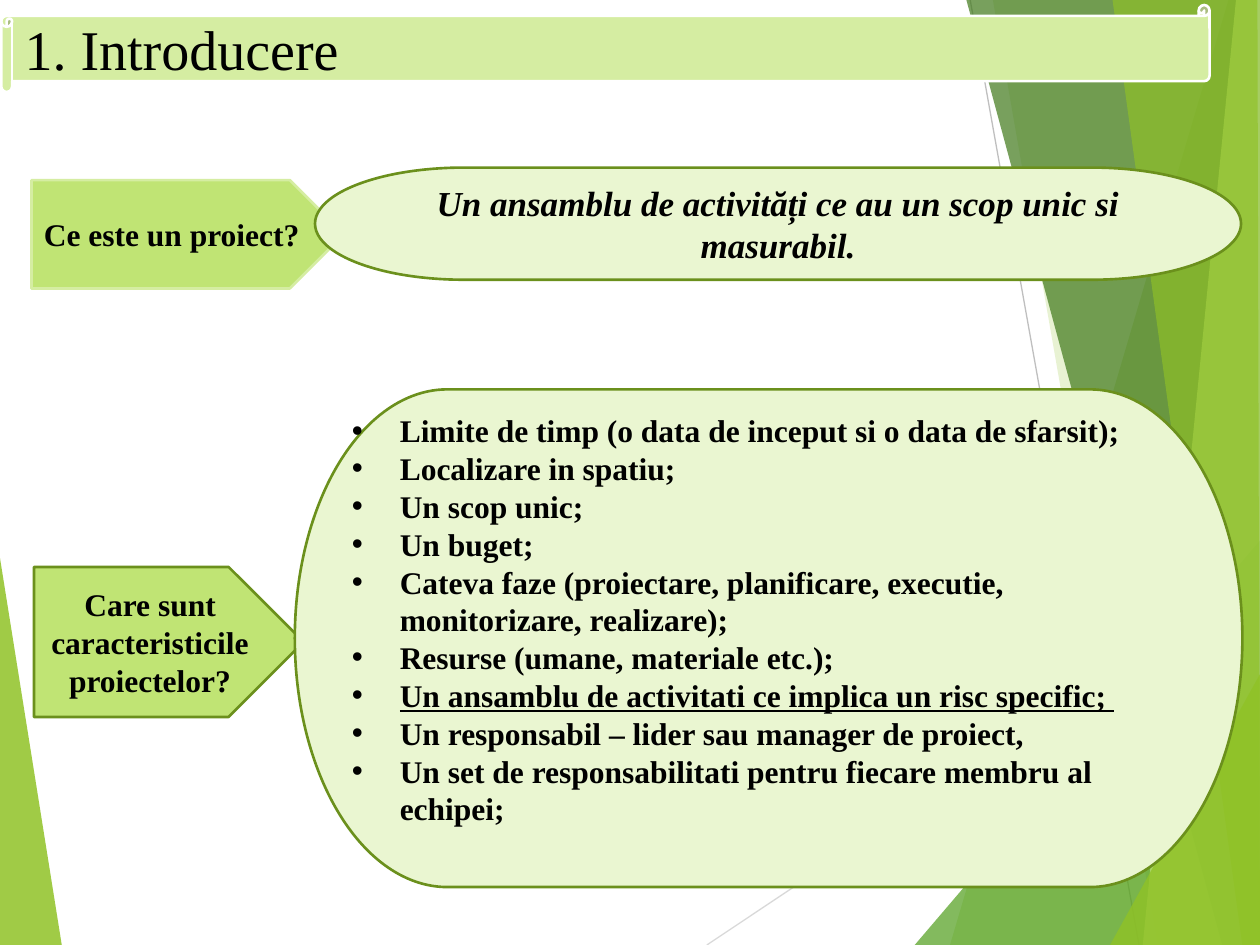
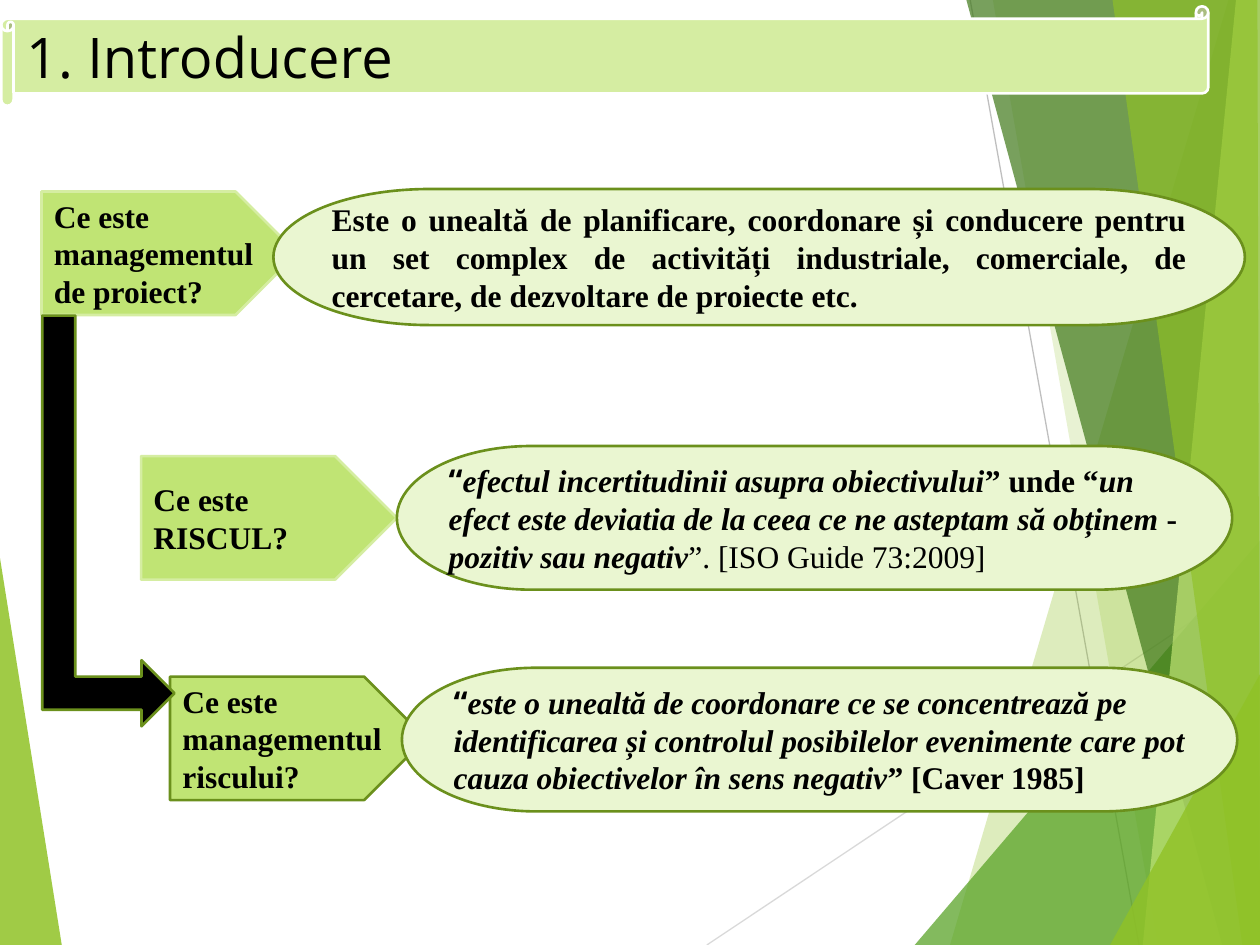
from lxml.etree import SubElement
from pptx import Presentation
from pptx.dml.color import RGBColor
from pptx.enum.shapes import MSO_CONNECTOR as Conn, MSO_SHAPE as Kind
from pptx.enum.text import MSO_ANCHOR as Anchor, PP_ALIGN as Align
from pptx.oxml.ns import qn
from pptx.util import Inches, Pt

SERIF, SANS = "Times New Roman", "Open Sans"
LIME, PALE, MIST = "C0E474", "D5EDA2", "EAF6D1"
OLIVE, WHITE, BLACK = "6B901C", "FFFFFF", "000000"
TAG, PILL = Kind.PENTAGON, Kind.FLOWCHART_TERMINATOR


def ink(fill, tone):
    fill.solid()
    fill.fore_color.rgb = RGBColor.from_string(tone)


# Each paragraph is a list of runs: (text, style letters, font);
# b = bold, i = italic, u = underline
def box(slide, kind, place, fill, edge, paras=(), size=18, align=Align.LEFT,
        bullet=False):
    shape = slide.shapes.add_shape(kind, *map(Inches, place))
    shape.shadow.inherit = False
    ink(shape.fill, fill)
    ink(shape.line.fill, edge)
    shape.line.width = Pt(1.5)
    frame = shape.text_frame
    frame.word_wrap = True
    frame.vertical_anchor = Anchor.MIDDLE
    for n, runs in enumerate(paras):
        para = frame.add_paragraph() if n else frame.paragraphs[0]
        para.alignment = align
        if bullet:
            props = para._p.get_or_add_pPr()
            props.set("marL", str(Inches(0.38)))
            props.set("indent", str(Inches(-0.38)))
            SubElement(props, qn("a:buFont"), typeface="Arial")
            SubElement(props, qn("a:buChar"), char="•")
        para.font.size = Pt(size)
        ink(para.font.fill, BLACK)
        for text, style, face in runs:
            run = para.add_run()
            run.text = text
            run.font.name = face
            run.font.bold = "b" in style
            run.font.italic = "i" in style
            run.font.underline = "u" in style
    return shape


deck = Presentation()
deck.slide_width, deck.slide_height = Inches(10), Inches(7.5)

# Backdrop: thin lines, then translucent facets (tone, opacity %, corners)
lines = [("D9D9D9", (5.61, 7.5, 10, 4.57)), ("BFBFBF", (7.7, 0, 9.04, 7.5))]
facets = [
    ("90C226", 85, [(0, 4.43), (0.49, 7.5), (0, 7.5)]),
    ("90C226", 30, [(9.75, 0), (7.54, 7.5), (10, 7.5), (10, 0)]),
    ("90C226", 20, [(7.88, 0), (9.19, 7.5), (10, 7.5), (10, 0)]),
    ("54A021", 72, [(7.26, 7.5), (10, 4.29), (10, 7.5)]),
    ("3F7819", 70, [(7.67, 0), (9.7, 7.5), (10, 7.5), (10, 0)]),
    ("C0E474", 70, [(9.81, 0), (9.07, 7.5), (10, 7.5), (10, 0)]),
    ("90C226", 65, [(8.83, 0), (9.86, 7.5), (10, 7.5), (9.98, 0)]),
    ("90C226", 80, [(8.81, 7.5), (10, 5.35), (10, 7.5)]),
]
# Title scroll of each slide: place and font
heads = [((0.01, 0.04, 9.59, 0.69), SERIF), ((0.01, 0.05, 9.58, 0.79), SANS)]

slides = []
for place, face in heads:
    slide = deck.slides.add_slide(deck.slide_layouts[6])
    slides.append(slide)
    for tone, ends in lines:
        line = slide.shapes.add_connector(Conn.STRAIGHT, *map(Inches, ends))
        ink(line.line.fill, tone)
        line.line.width = Pt(0.75)
        SubElement(line.element.spPr, qn("a:effectLst"))
    for tone, alpha, dots in facets:
        dots = [(Inches(x), Inches(y)) for x, y in dots]
        pen = slide.shapes.build_freeform(*dots[0])
        pen.add_line_segments(dots[1:])
        facet = pen.convert_to_shape()
        facet.shadow.inherit = False
        ink(facet.fill, tone)
        facet.line.fill.background()
        clr = facet.element.spPr.find(".//" + qn("a:srgbClr"))
        SubElement(clr, qn("a:alpha"), val=str(alpha * 1000))
    box(slide, Kind.HORIZONTAL_SCROLL, place, PALE, WHITE,
        [[("1. Introducere", "", face)]], size=32)

# Slide 1: what a project is and its traits
first, second = slides
box(first, TAG, (0.27, 4.5, 2.14, 1.19), LIME, OLIVE,
    [[("Care sunt caracteristicile proiectelor?", "b", SERIF)]],
    align=Align.CENTER)
box(first, TAG, (0.25, 1.43, 2.48, 0.86), LIME, PALE,
    [[("Ce este un proiect?", "b", SERIF)]])
box(first, PILL, (2.5, 1.33, 7.35, 0.89), MIST, OLIVE,
    [[("Un ansamblu de activități ce au un scop unic si masurabil.", "bi",
       SERIF)]], size=20, align=Align.CENTER)
traits = [
    ("Limite de timp (o data de inceput si o data de sfarsit);", "b"),
    ("Localizare in spatiu;", "b"),
    ("Un scop unic;", "b"),
    ("Un buget;", "b"),
    ("Cateva faze (proiectare, planificare, executie, monitorizare, "
     "realizare);", "b"),
    ("Resurse (umane, materiale etc.);", "b"),
    ("Un ansamblu de activitati ce implica un risc specific; ", "bu"),
    ("Un responsabil – lider sau manager de proiect,", "b"),
    ("Un set de responsabilitati pentru fiecare membru al echipei;", "b"),
]
pill = box(first, PILL, (2.34, 3.09, 7.52, 3.95), MIST, OLIVE,
           [[(text, style, SERIF)] for text, style in traits], bullet=True)
pill.text_frame.margin_bottom = Inches(0.35)

# Slide 2: question tags, each with its answer
pairs = [
    ("Ce este managementul riscului?", (1.35, 5.37), OLIVE,
     (3.19, 5.3, 6.63, 1.14), Align.LEFT,
     [("“", "b", SANS),
      ("este o unealtă de coordonare ce se concentrează pe identificarea și "
       "controlul posibilelor evenimente care pot cauza obiectivelor în sens "
       "negativ", "bi", SERIF),
      ("” [Caver 1985]", "b", SERIF)]),
    ("Ce este managementul de proiect?", (0.33, 1.52), PALE,
     (2.17, 1.5, 7.71, 1.08), Align.JUSTIFY,
     [("Este o unealtă de planificare, coordonare și conducere pentru un set "
       "complex de activități industriale, comerciale, de cercetare, de "
       "dezvoltare de proiecte etc.", "b", SERIF)]),
    ("Ce este RISCUL?", (1.12, 3.62), PALE,
     (3.15, 3.54, 6.63, 1.14), Align.LEFT,
     [("“", "b", SANS),
      ("efectul incertitudinii asupra obiectivului", "bi", SERIF),
      ("” unde “", "b", SERIF),
      ("un efect este deviatia de la ceea ce ne asteptam să obținem", "bi",
       SERIF),
      (" - ", "b", SERIF),
      ("pozitiv sau negativ", "bi", SERIF),
      ("”. [ISO Guide 73:2009]", "", SERIF)]),
]
for ask, spot, edge, place, align, reply in pairs:
    box(second, TAG, (*spot, 2.03, 0.98), LIME, edge, [[(ask, "b", SERIF)]])
    box(second, PILL, place, MIST, OLIVE, [reply], align=align)

# Arrow from project management to risk management
arrow = box(second, Kind.BENT_UP_ARROW, (-0.77, 3.61, 3.26, 1.05), BLACK,
            OLIVE)
arrow.rotation = 90

deck.save("out.pptx")
